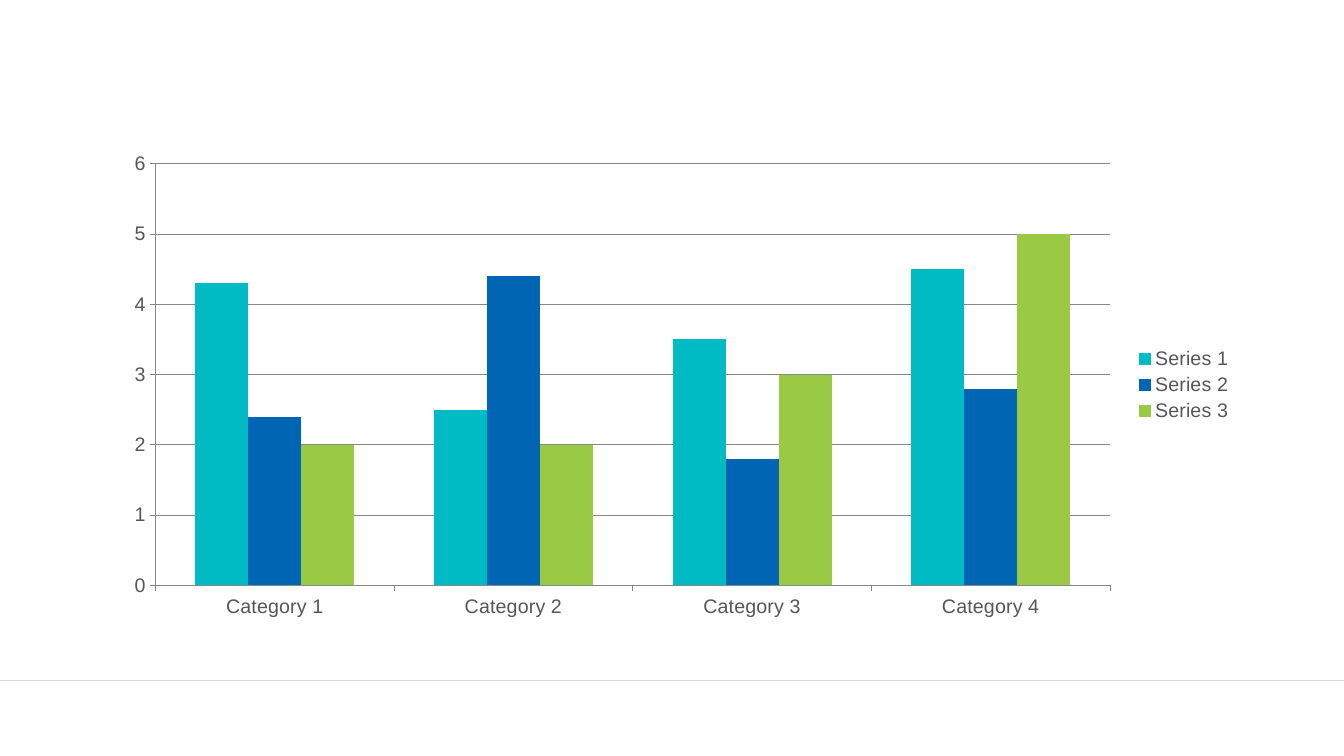
from lxml import etree
from pptx import Presentation, util as u
from pptx.chart.data import CategoryChartData
from pptx.dml.color import RGBColor
from pptx.enum import chart as ch, shapes
from pptx.oxml import ns

PX = 9144  # EMU per px, 100 px to the inch
WIDE, HIGH = 1333, 750
GREY = "878787"
CATS = [f"Category {n}" for n in range(1, 5)]
SERIES = [
    ("Series 1", "00BBC4", (4.3, 2.5, 3.5, 4.5)),
    ("Series 2", "0066B3", (2.4, 4.4, 1.8, 2.8)),
    ("Series 3", "9ACA43", (2, 2, 3, 5)),
]


def px(*nums):
    return [u.Emu(n * PX) for n in nums]


def tint(hue):
    return RGBColor.from_string(hue)


def stroke(line, hue, width):
    line.color.rgb = tint(hue)
    line.width = u.Pt(width)


def style(font, face="Arial", size=14, hue="56565A"):
    font.name = face
    font.size = u.Pt(size)
    font.color.rgb = tint(hue)


def add_rule(slide, x1, y1, x2, y2, hue, width):
    rule = slide.shapes.add_connector(
        shapes.MSO_CONNECTOR.STRAIGHT, *px(x1, y1, x2, y2))
    stroke(rule.line, hue, width)
    etree.SubElement(rule._element.spPr, ns.qn("a:effectLst"))


def set_axis(axis, grid):
    axis.has_major_gridlines = grid
    axis.major_tick_mark = ch.XL_TICK_MARK.OUTSIDE
    axis.minor_tick_mark = ch.XL_TICK_MARK.NONE
    stroke(axis.format.line, GREY, 0.75)
    if grid:
        stroke(axis.major_gridlines.format.line, GREY, 0.75)


def add_bars(slide, x, y, wide, high):
    data = CategoryChartData(number_format="General")
    data.categories = CATS
    for name, _, vals in SERIES:
        data.add_series(name, vals)
    chart = slide.shapes.add_chart(
        ch.XL_CHART_TYPE.COLUMN_CLUSTERED, *px(x, y, wide, high), data).chart
    style(chart.font)
    chart.has_title = False
    chart.has_legend = True
    chart.legend.position = ch.XL_LEGEND_POSITION.RIGHT
    chart.legend.include_in_layout = False

    set_axis(chart.category_axis, False)
    set_axis(chart.value_axis, True)
    scale = chart.value_axis
    scale.minimum_scale, scale.maximum_scale, scale.major_unit = 0, 6, 1

    plot = chart.plots[0]
    plot.gap_width = 150
    plot.overlap = 0
    plot.vary_by_categories = False
    for bars, (_, hue, _) in zip(plot.series, SERIES):
        bars.format.fill.solid()
        bars.format.fill.fore_color.rgb = tint(hue)


def main():
    deck = Presentation()
    deck.slide_width, deck.slide_height = px(WIDE, HIGH)
    slide = deck.slides.add_slide(deck.slide_layouts[6])
    add_rule(slide, 0, 675, WIDE, 675, "D9D9D9", 0.25)
    add_bars(slide, 111, 142, 1122, 480)
    deck.save("out.pptx")


if __name__ == "__main__":
    main()
